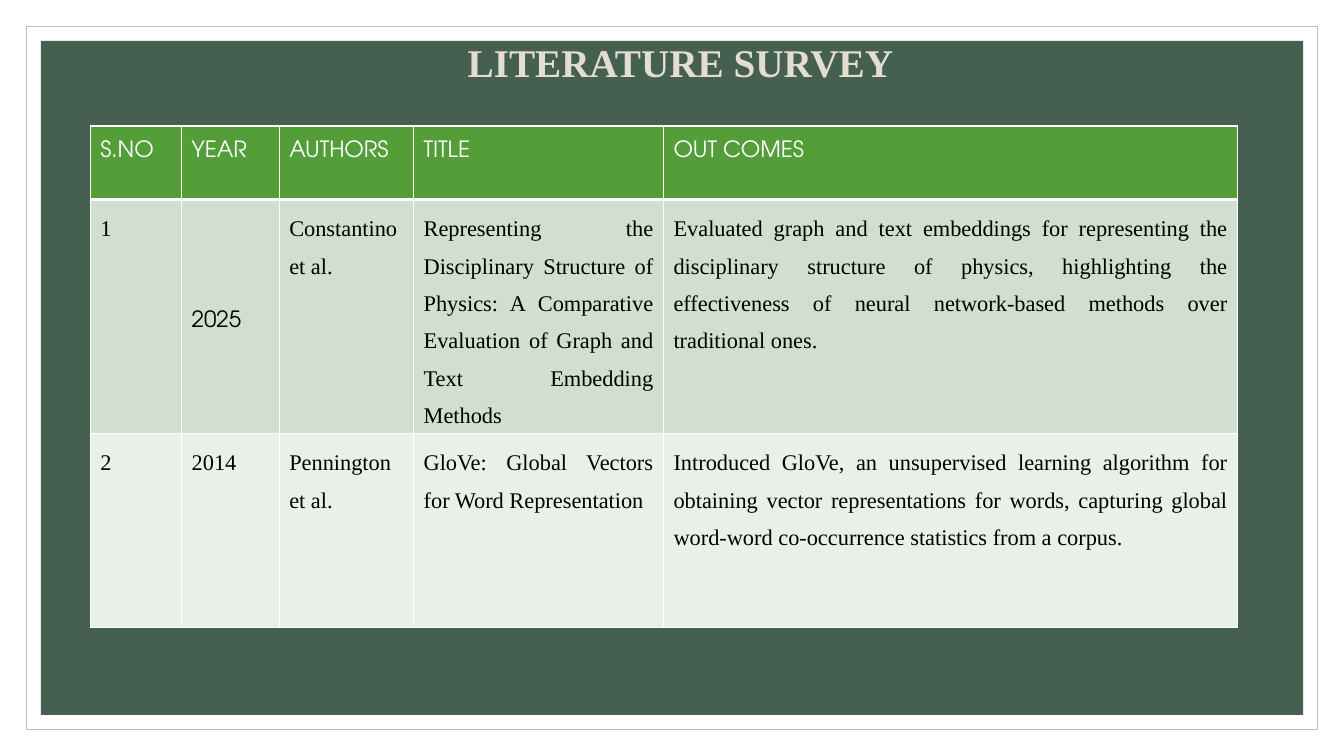
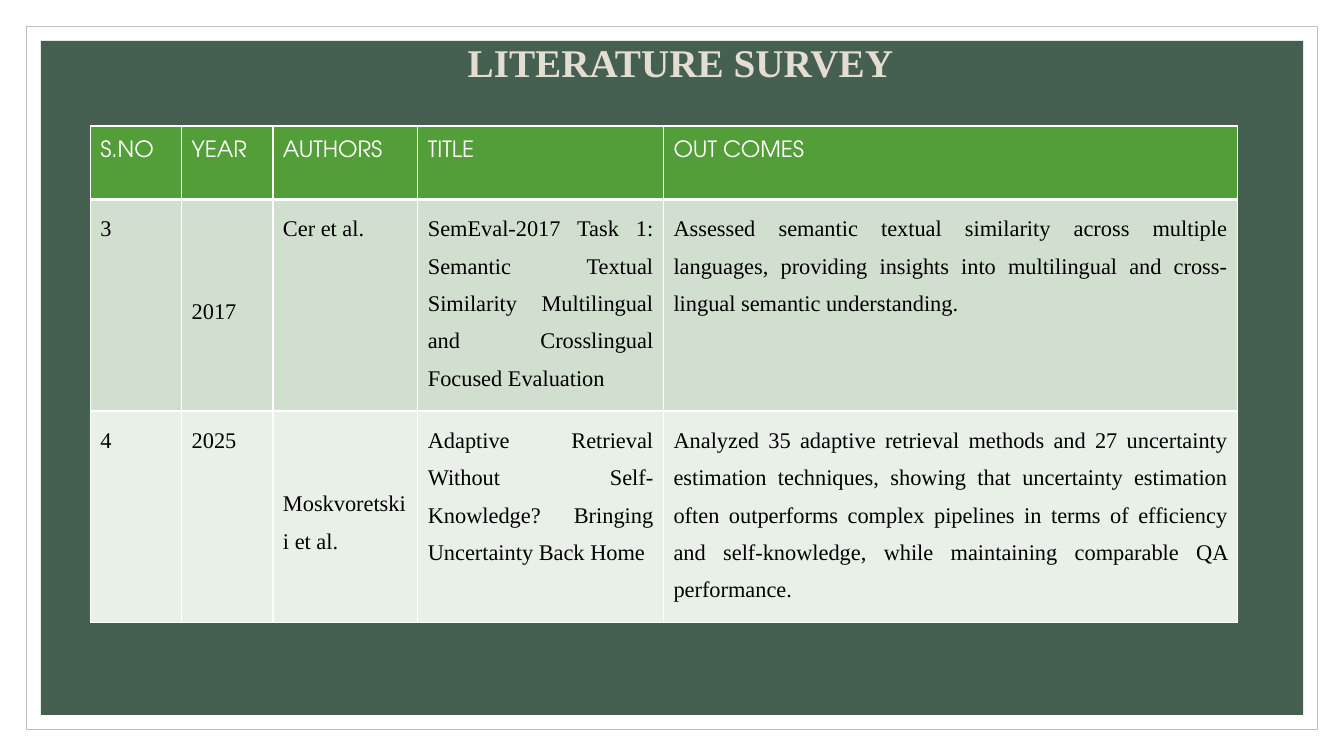
from pptx import Presentation
from pptx.dml.color import RGBColor as Rgb
from pptx.enum.shapes import MSO_SHAPE as Kind
from pptx.enum.text import MSO_ANCHOR as Anchor, PP_ALIGN as Align
from pptx.oxml.ns import qn
from pptx.util import Emu, Pt
from lxml.etree import SubElement as Sub

PX = 9525
WIDE, HIGH = 1280, 720
HEX = {
    "white": "FFFFFF", "edge": "BFBFBF", "panel": "455F51", "title": "E3DED1",
    "head": "549E39", "odd": "D1DFCE", "even": "E9F0E8", "ink": "000000",
}
SERIF, SANS = "Times New Roman", "TeX Gyre Adventor"
HEADS = ["S.NO", "YEAR", "AUTHORS", "TITLE", "OUT COMES"]
ROWS = [70, 175, 185]

# mid: cells centred vertically; sans: body cells in the heading font
PAGES = [
    {
        "cols": [87, 93, 128, 238, 547], "mid": {(1, 1)}, "sans": {(1, 1)},
        "rows": [
            ["1", "2025", "Constantino et al.",
             "Representing the Disciplinary Structure of Physics: A Comparative "
             "Evaluation of Graph and Text Embedding Methods",
             "Evaluated graph and text embeddings for representing the "
             "disciplinary structure of physics, highlighting the effectiveness "
             "of neural network-based methods over traditional ones."],
            ["2", "2014", "Pennington et al.",
             "GloVe: Global Vectors for Word Representation",
             "Introduced GloVe, an unsupervised learning algorithm for obtaining "
             "vector representations for words, capturing global word-word "
             "co-occurrence statistics from a corpus."],
        ],
    },
    {
        "cols": [87, 87, 138, 234, 547], "mid": {(1, 1), (2, 2)}, "sans": set(),
        "rows": [
            ["3", "2017", "Cer et al.",
             "SemEval-2017 Task 1: Semantic Textual Similarity Multilingual and "
             "Crosslingual Focused Evaluation",
             "Assessed semantic textual similarity across multiple languages, "
             "providing insights into multilingual and cross-lingual semantic "
             "understanding."],
            ["4", "2025", "Moskvoretskii et al.",
             "Adaptive Retrieval Without Self-Knowledge? Bringing Uncertainty "
             "Back Home",
             "Analyzed 35 adaptive retrieval methods and 27 uncertainty "
             "estimation techniques, showing that uncertainty estimation often "
             "outperforms complex pipelines in terms of efficiency and "
             "self-knowledge, while maintaining comparable QA performance."],
        ],
    },
]


def px(*nums):
    return [Emu(num * PX) for num in nums]


def tint(name):
    return Rgb.from_string(HEX[name])


def write(para, text, size, face, tone, bold=False):
    run = para.add_run()
    run.text = text
    font = run.font
    font.size, font.name, font.bold = Pt(size), face, bold
    font.color.rgb = tint(tone)


def panel(slide, inset, fill, line=None):
    """Rectangle set in from every slide edge by the same amount."""
    box = px(inset, inset, WIDE - 2 * inset, HIGH - 2 * inset)
    shape = slide.shapes.add_shape(Kind.RECTANGLE, *box)
    shape.shadow.inherit = False
    shape.fill.solid()
    shape.fill.fore_color.rgb = tint(fill)
    if line:
        shape.line.color.rgb = tint(line)
        shape.line.width = Pt(0.5)
    else:
        shape.line.fill.background()


def title(slide, box, text):
    frame = slide.shapes.add_textbox(*px(*box)).text_frame
    frame.word_wrap = True
    para = frame.paragraphs[0]
    para.level = 2
    para.alignment = Align.CENTER
    para.line_spacing = 1.7
    props = para._p.get_or_add_pPr()
    props.set("marL", str(96 * PX))
    props.set("indent", "0")
    write(para, text, 28, SERIF, "title", True)


def border(cell, base):
    """White cell edges; base is the bottom width in points."""
    props = cell._tc.get_or_add_tcPr()
    for side, wide in (("L", 1), ("R", 1), ("T", 1), ("B", base)):
        line = Sub(props, qn("a:ln" + side), w=str(Pt(wide)))
        fill = Sub(line, qn("a:solidFill"))
        Sub(fill, qn("a:srgbClr"), val=HEX["white"])


def table(slide, left, top, page):
    data = [HEADS] + page["rows"]
    cols = page["cols"]
    box = px(left, top, sum(cols), sum(ROWS))
    grid = slide.shapes.add_table(len(data), len(cols), *box).table
    for col, wide in zip(grid.columns, px(*cols)):
        col.width = wide
    for row, high in zip(grid.rows, px(*ROWS)):
        row.height = high
    for r, texts in enumerate(data):
        for c, text in enumerate(texts):
            cell, spot = grid.cell(r, c), (r, c)
            border(cell, 1 if r else 3)
            cell.fill.solid()
            cell.fill.fore_color.rgb = tint(("head", "odd", "even")[r])
            cell.vertical_anchor = Anchor.MIDDLE if spot in page["mid"] else Anchor.TOP
            para = cell.text_frame.paragraphs[0]
            para.line_spacing = 1.5
            para.alignment = Align.JUSTIFY if r else Align.LEFT
            face = SANS if r == 0 or spot in page["sans"] else SERIF
            write(para, text, 16, face, "ink" if r else "white")


def survey(deck, page):
    slide = deck.slides.add_slide(deck.slide_layouts[6])
    panel(slide, 25, "white", "edge")
    panel(slide, 39, "panel")
    table(slide, 86, 120, page)
    title(slide, (149, 0, 902, 98), "LITERATURE SURVEY")


def main():
    deck = Presentation()
    deck.slide_width, deck.slide_height = px(WIDE, HIGH)
    for page in PAGES:
        survey(deck, page)
    deck.save("out.pptx")


if __name__ == "__main__":
    main()
